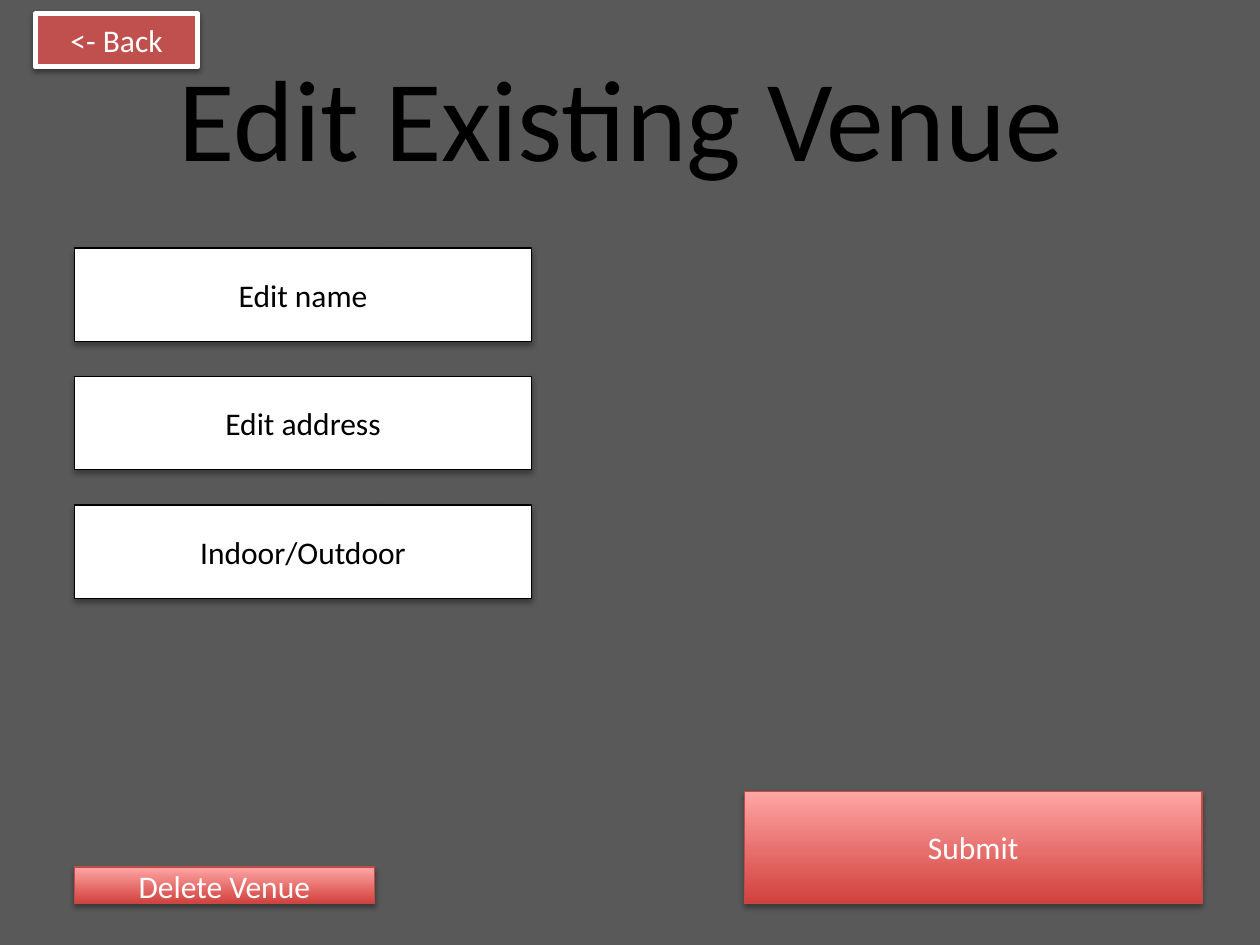
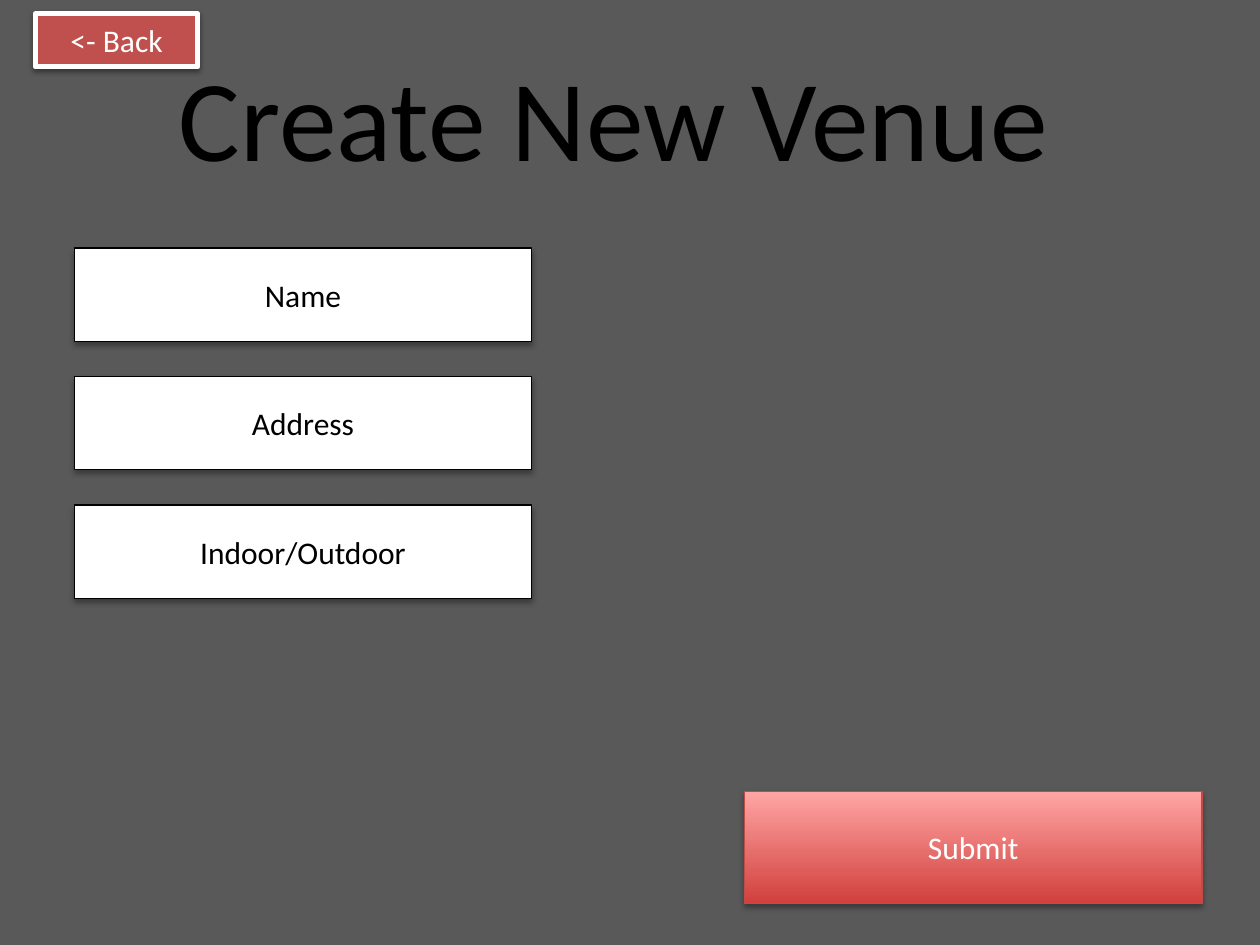
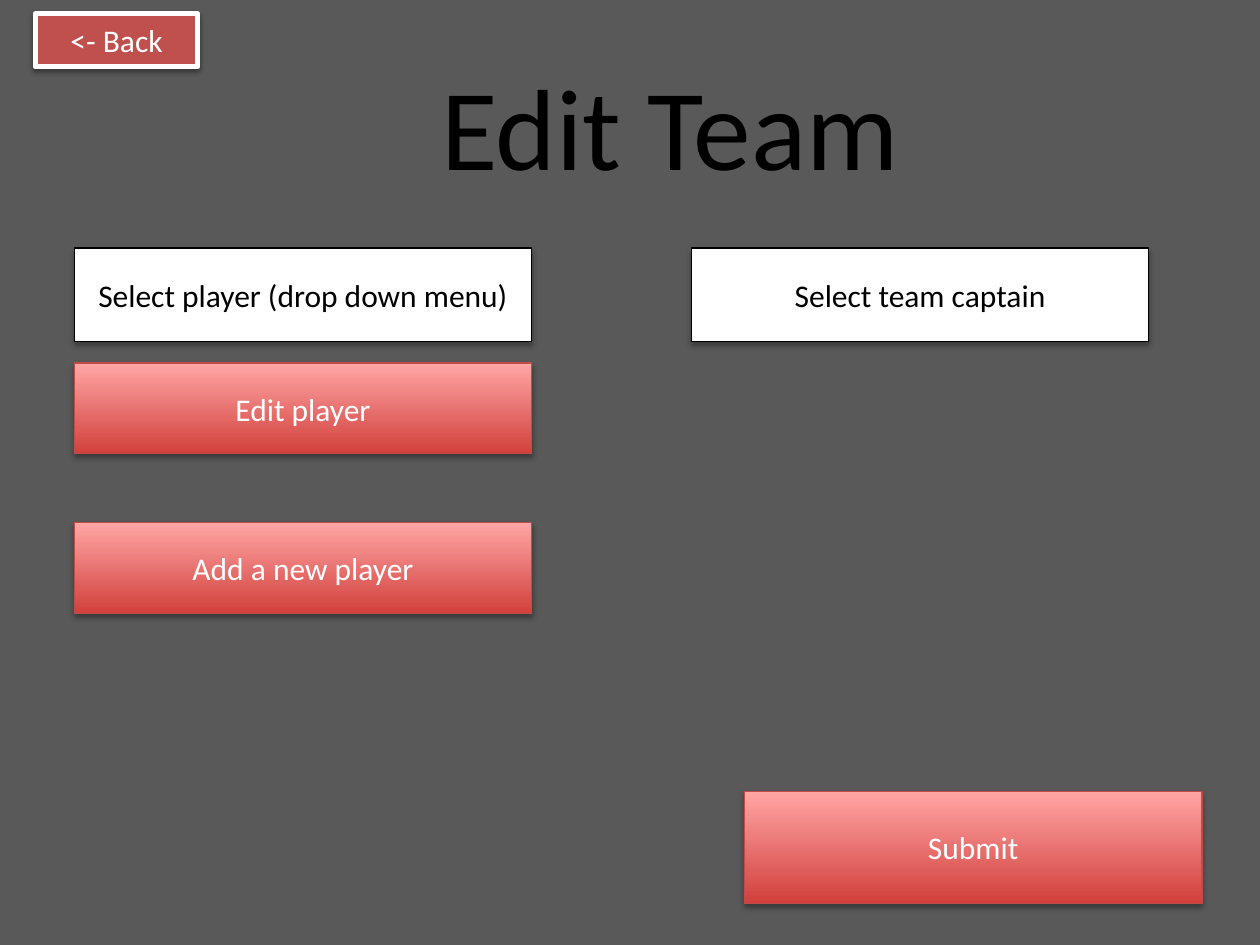
import pptx
import pptx.dml.color
import pptx.enum.shapes
import pptx.enum.text
import pptx.oxml
import pptx.oxml.ns
import pptx.util

Cm = pptx.util.Cm
Pt = pptx.util.Pt

COLORS = {
    "background": "595959",
    "black": "000000",
    "white": "FFFFFF",
    "back": "C0504D",
    "button_line": "BF4C48",
    "button_dark": "D1403C",
    "button_light": "FFA6A5",
}
FONT = "Calibri"
LEFT = 1.5
FIELD_TOP = 5
FIELD_STEP = 2.59
WIDTH = 9.22
FIELD_HEIGHT = 1.88
BUTTON_HEIGHT = 1.83


def color(name):
    return pptx.dml.color.RGBColor.from_string(COLORS[name])


def format_text(frame, size, color_name, alignment, anchor):
    frame.vertical_anchor = anchor
    para = frame.paragraphs[0]
    para.alignment = alignment
    for span in para.runs:
        span.font.name = FONT
        span.font.size = Pt(size)
        span.font.color.rgb = color(color_name)


def add_shadow(box, opacity, distance):
    box.shadow.inherit = False
    effects = box._element.spPr.find(pptx.oxml.ns.qn("a:effectLst"))
    effects.append(pptx.oxml.parse_xml(
        f'<a:outerShdw {pptx.oxml.ns.nsdecls("a")} blurRad="{Pt(3.1)}" '
        f'dist="{Pt(distance)}" dir="5400000" rotWithShape="0">'
        f'<a:srgbClr val="{COLORS["black"]}"><a:alpha val="{opacity * 1000}"/>'
        '</a:srgbClr></a:outerShdw>'))


def add_box(page, text, place, text_color, line_color, line_width=0.75):
    box = page.shapes.add_shape(
        pptx.enum.shapes.MSO_SHAPE.RECTANGLE, *[Cm(length) for length in place])
    box.line.color.rgb = color(line_color)
    box.line.width = Pt(line_width)
    box.text_frame.text = text
    format_text(box.text_frame, 18, text_color,
                pptx.enum.text.PP_ALIGN.CENTER, pptx.enum.text.MSO_ANCHOR.MIDDLE)
    return box


def add_field(page, text, row=0, left=LEFT):
    place = (left, FIELD_TOP + row * FIELD_STEP, WIDTH, FIELD_HEIGHT)
    field = add_box(page, text, place, "black", "black")
    field.fill.solid()
    field.fill.fore_color.rgb = color("white")
    add_shadow(field, 35, 1.8)


def add_button(page, text, left, top, width=WIDTH, height=BUTTON_HEIGHT):
    button = add_box(page, text, (left, top, width, height), "white", "button_line")
    button.fill.gradient()
    button.fill.gradient_angle = 90
    for stop, name in zip(button.fill.gradient_stops, ("button_dark", "button_light")):
        stop.color.rgb = color(name)
    add_shadow(button, 35, 1.8)


def add_back_button(page):
    button = add_box(page, "<- Back", (0.71, 0.28, 3.28, 1.07), "white", "white", 3)
    button.fill.solid()
    button.fill.fore_color.rgb = color("back")
    add_shadow(button, 38, 1.6)


def add_page(deck, heading, left=3.35, top=0.81, width=19.33):
    page = deck.slides.add_slide(deck.slide_layouts.get_by_name("Title Only"))
    title = page.shapes.title
    title.left, title.top, title.width, title.height = (
        Cm(left), Cm(top), Cm(width), Cm(3.07))
    title.text_frame.text = heading
    title.text_frame.auto_size = pptx.enum.text.MSO_AUTO_SIZE.SHAPE_TO_FIT_TEXT
    format_text(title.text_frame, 66, "black",
                pptx.enum.text.PP_ALIGN.LEFT, pptx.enum.text.MSO_ANCHOR.TOP)
    add_button(page, "Submit", 15.01, 15.95, height=2.26)
    add_back_button(page)
    return page


def add_venue_page(deck, heading, fields):
    page = add_page(deck, heading)
    for row, text in enumerate(fields):
        add_field(page, text, row)
    return page


def add_team_page(deck):
    page = add_page(deck, "Edit Team", 8.64, 0.99, 10.59)
    add_field(page, "Select player (drop down menu)")
    add_field(page, "Select team captain", left=13.94)
    add_button(page, "Edit player", LEFT, 7.32)
    add_button(page, "Add a new player", LEFT, 10.54)


def main():
    deck = pptx.Presentation()
    deck.slide_width, deck.slide_height = Cm(25.4), Cm(19.05)
    background = deck.slide_master.background.fill
    background.solid()
    background.fore_color.rgb = color("background")

    edit_venue = add_venue_page(
        deck, "Edit Existing Venue", ("Edit name", "Edit address", "Indoor/Outdoor"))
    add_button(edit_venue, "Delete Venue", LEFT, 17.48, 6.05, 0.74)
    add_venue_page(deck, "Create New Venue", ("Name", "Address", "Indoor/Outdoor"))
    add_team_page(deck)
    deck.save("out.pptx")


if __name__ == "__main__":
    main()
